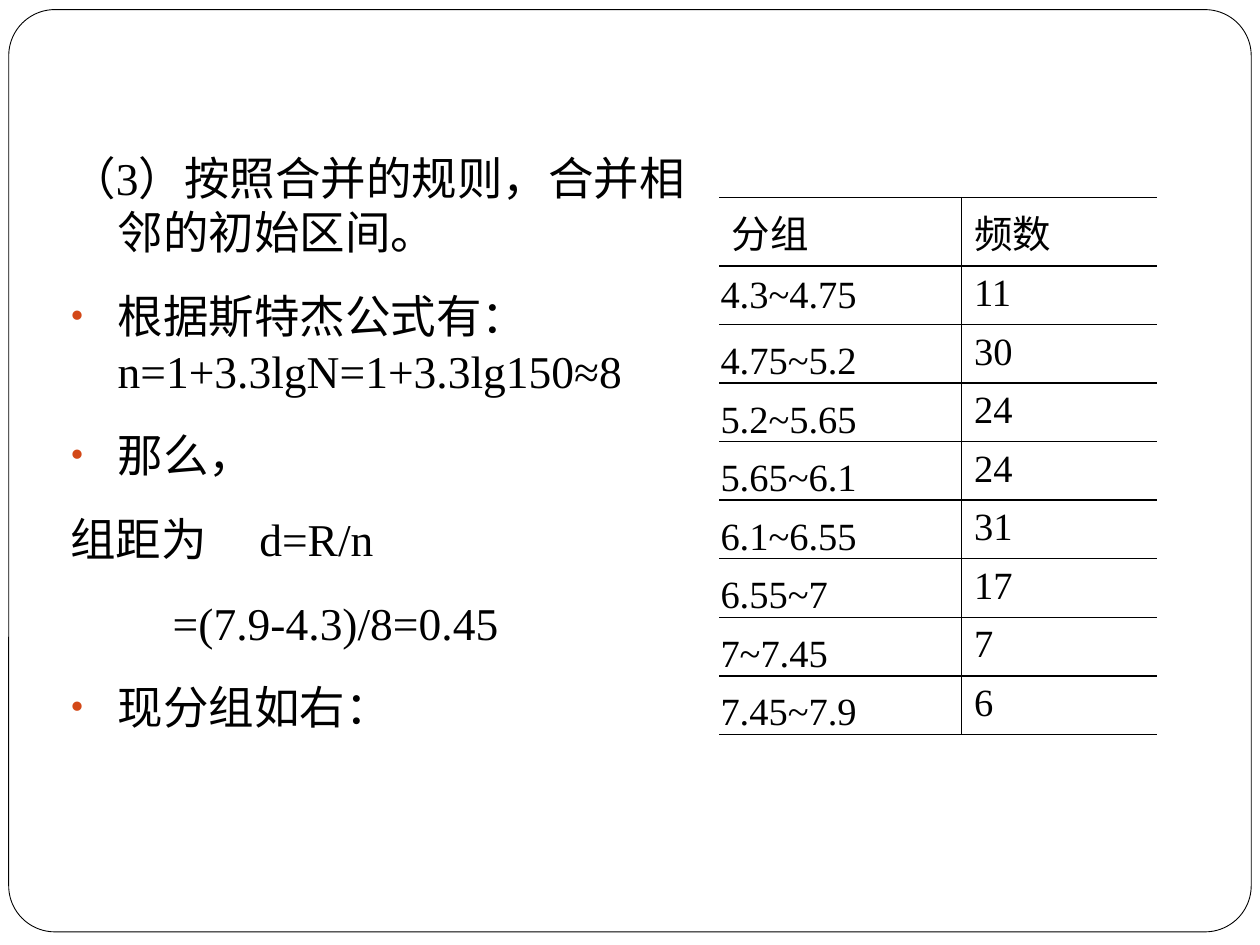
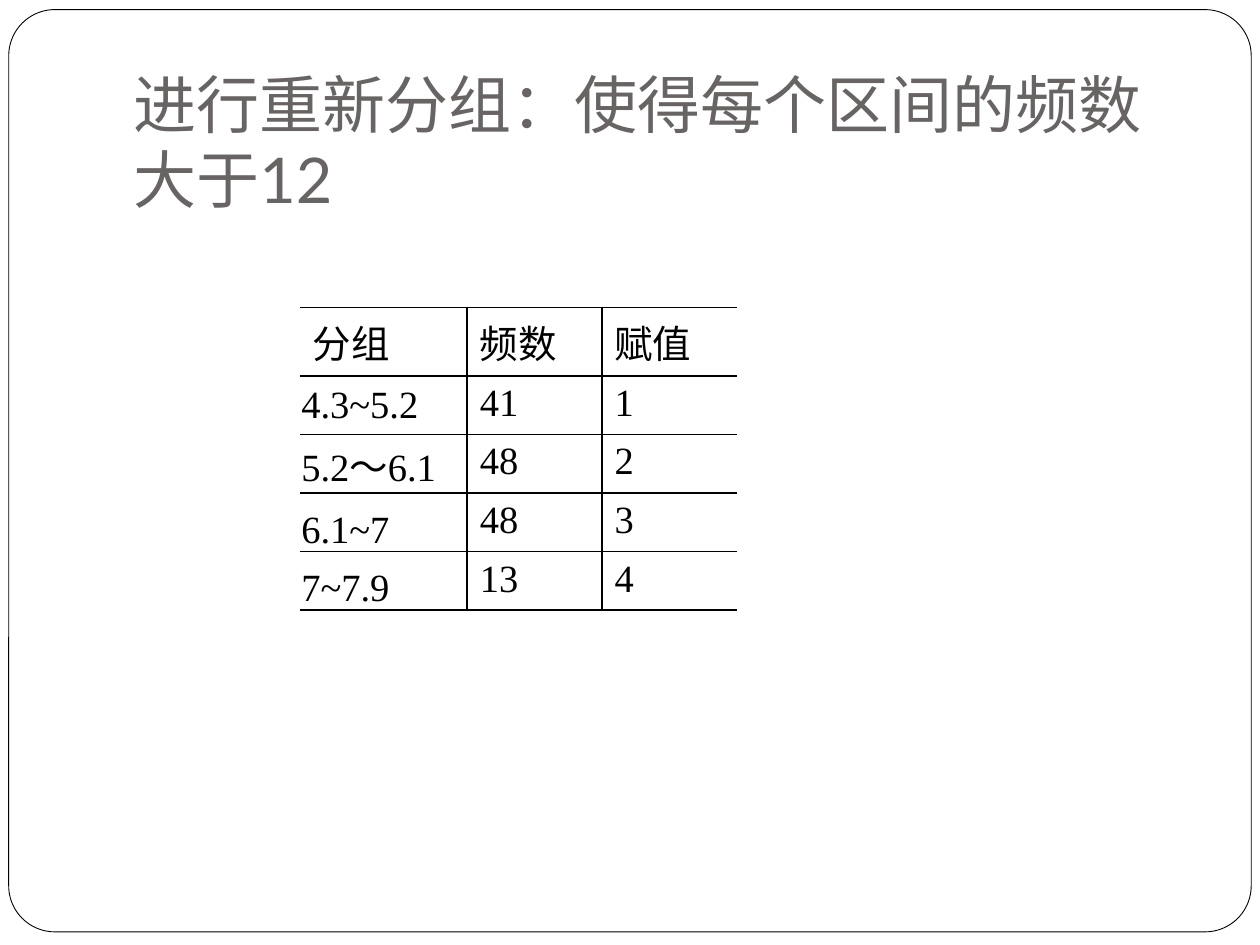
from lxml import etree
from pptx import Presentation
from pptx import util as u
from pptx.dml import color
from pptx.enum import shapes, text
from pptx.oxml import ns

Pt = u.Pt
HUES = {"ink": "000000", "paper": "FFFFFF", "title": "696464", "dot": "D34817"}
SERIF, SANS = "Times New Roman", "Lato"
MID, LOW, TOP = text.MSO_ANCHOR.MIDDLE, text.MSO_ANCHOR.BOTTOM, text.MSO_ANCHOR.TOP


def rgb(hue):
    return color.RGBColor.from_string(HUES[hue])


def node(root, tag, **attrs):
    return etree.SubElement(root, ns.qn("a:" + tag), attrs)


class Deck:
    def __init__(self):
        self.prs = Presentation()
        self.prs.slide_width, self.prs.slide_height = Pt(720), Pt(540)
        self.slide = None

    def page(self, layout):
        self.slide = self.prs.slides.add_slide(self.prs.slide_layouts[layout])

    def frame(self):
        box = self.slide.shapes.add_shape(
            shapes.MSO_SHAPE.ROUNDED_RECTANGLE, Pt(5), Pt(5.5), Pt(710), Pt(527))
        box.adjustments[0] = 0.05
        box.shadow.inherit = False
        box.fill.solid()
        box.fill.fore_color.rgb = rgb("paper")
        box.line.color.rgb = rgb("ink")
        box.line.width = Pt(0.5)
        box._element.nvSpPr.cNvPr.set("id", "99")
        self.prs.slide_master.shapes._spTree.insert(2, box._element)

    def place(self, holder, left, top, width, height, anchor, base=3.6):
        holder.left, holder.top = Pt(left), Pt(top)
        holder.width, holder.height = Pt(width), Pt(height)
        body = holder.text_frame
        body.word_wrap = True
        body.auto_size = text.MSO_AUTO_SIZE.NONE
        body.vertical_anchor = anchor
        body.margin_left = body.margin_right = Pt(7.2)
        body.margin_top, body.margin_bottom = Pt(3.6), Pt(base)
        return body

    def label(self, para, words, size, font=SERIF, hue="ink"):
        para.alignment = text.PP_ALIGN.LEFT
        run = para.add_run()
        run.text = words
        run.font.size, run.font.name = Pt(size), font
        run.font.color.rgb = rgb(hue)

    def title(self, words):
        body = self.place(self.slide.shapes.title, 69, 41, 612, 90, LOW, 7.2)
        self.label(body.paragraphs[0], words, 36, SANS, "title")

    def bullet(self, props, dot):
        if dot:
            node(node(props, "buClr"), "srgbClr", val=HUES["dot"])
            node(props, "buSzPct", val="85000")
            node(props, "buFont", typeface=SERIF)
            node(props, "buChar", char="•")
        else:
            node(props, "buNone")

    def items(self, rows):
        body = self.place(self.slide.placeholders[1], 33, 82, 367, 379, TOP)
        for num, (words, dot, left, hang, tab) in enumerate(rows):
            para = body.add_paragraph() if num else body.paragraphs[0]
            props = para._p.get_or_add_pPr()
            props.set("marL", str(Pt(left)))
            props.set("indent", str(Pt(-hang)))
            self.bullet(props, dot)
            if tab:
                node(node(props, "tabLst"), "tab", pos=str(Pt(tab)), algn="l")
            para.space_before = Pt(5.8 if num else 0)
            para.space_after = Pt(11)
            self.label(para, words, 26)

    def edge(self, cell, side, shown):
        line = node(cell._tc.get_or_add_tcPr(), "ln" + side, w=str(Pt(1)))
        if shown:
            node(node(line, "solidFill"), "srgbClr", val=HUES["ink"])
        else:
            node(line, "noFill")

    def cell(self, cell, words, row, col, last):
        if row and not col:
            cell.margin_left = cell.margin_right = cell.margin_top = Pt(0.75)
            cell.margin_bottom = Pt(0)
            cell.vertical_anchor = MID if row == 1 else LOW
        else:
            cell.margin_left = cell.margin_right = Pt(7.2)
            cell.margin_top = cell.margin_bottom = Pt(3.6)
            cell.vertical_anchor = TOP
        for side, shown in (("L", col > 0), ("R", col < last), ("T", True), ("B", True)):
            self.edge(cell, side, shown)
        cell.fill.background()
        self.label(cell.text_frame.paragraphs[0], words, 22)

    def table(self, left, top, widths, rows):
        high = 33.45
        grid = self.slide.shapes.add_table(
            len(rows), len(widths), Pt(left), Pt(top),
            Pt(sum(widths)), Pt(high * len(rows))).table
        grid.first_row = grid.horz_banding = False
        for col, width in enumerate(widths):
            grid.columns[col].width = Pt(width)
        for row, words in enumerate(rows):
            grid.rows[row].height = Pt(high)
            for col, word in enumerate(words):
                self.cell(grid.cell(row, col), word, row, col, len(widths) - 1)


def main():
    deck = Deck()
    deck.page(1)
    deck.frame()
    title = deck.slide.shapes.title._element
    title.getparent().remove(title)
    deck.items([
        ("（3）按照合并的规则，合并相邻的初始区间。", False, 27, 27, 0),
        ("根据斯特杰公式有：n=1+3.3lgN=1+3.3lg150≈8", True, 27, 27, 0),
        ("那么，", True, 27, 27, 0),
        ("组距为\td=R/n", False, 0, 0, 96),
        ("=(7.9-4.3)/8=0.45", False, 58.5, 0, 0),
        ("现分组如右：", True, 27, 27, 0),
    ])
    deck.table(411, 113, [138.5, 111.5], [
        ("分组", "频数"), ("4.3~4.75", "11"), ("4.75~5.2", "30"),
        ("5.2~5.65", "24"), ("5.65~6.1", "24"), ("6.1~6.55", "31"),
        ("6.55~7", "17"), ("7~7.45", "7"), ("7.45~7.9", "6"),
    ])

    deck.page(5)
    deck.title("进行重新分组：使得每个区间的频数大于12")
    deck.table(171.5, 175.75, [95.5, 77, 77], [
        ("分组", "频数", "赋值"), ("4.3~5.2", "41", "1"),
        ("5.2～6.1", "48", "2"), ("6.1~7", "48", "3"), ("7~7.9", "13", "4"),
    ])
    deck.prs.save("out.pptx")


if __name__ == "__main__":
    main()
